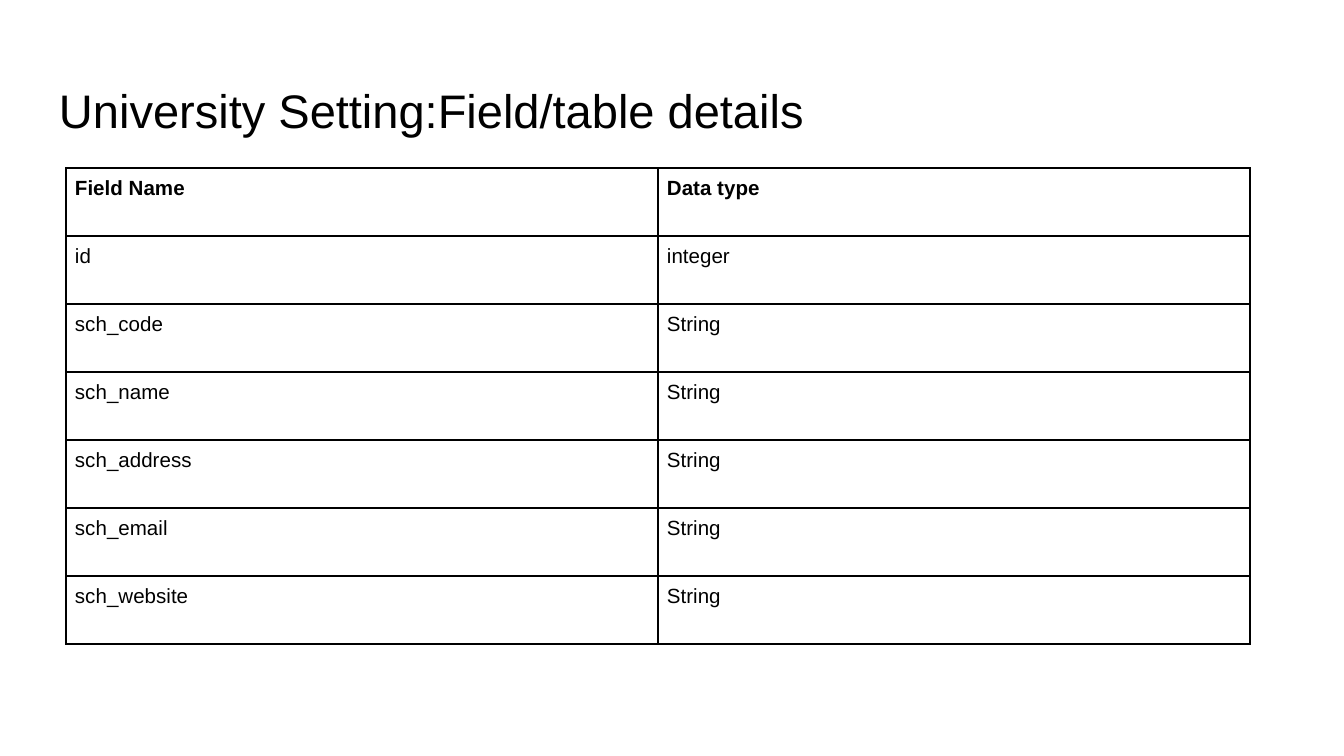
"""Build the slide listing the fields of the university setting table."""
from typing import NamedTuple

from lxml.etree import SubElement
from pptx import Presentation
from pptx.dml.color import RGBColor
from pptx.enum.text import MSO_ANCHOR, MSO_AUTO_SIZE, PP_ALIGN
from pptx.oxml.ns import qn
from pptx.util import Emu, Pt

PX_PER_INCH = 134.4
FONT = "Arial"
COLORS = {"text": "000000", "border": "000000", "background": "FFFFFF"}
TABLE_LEFT, TABLE_TOP = 66, 168
COL_WIDTH, ROW_HEIGHT = 592, 68
CELL_INSET, TITLE_INSET = 9, 13


class Field(NamedTuple):
    name: str
    data_type: str


FIELDS = [
    Field("Field Name", "Data type"),
    Field("id", "integer"),
    Field("sch_code", "String"),
    Field("sch_name", "String"),
    Field("sch_address", "String"),
    Field("sch_email", "String"),
    Field("sch_website", "String"),
]


def px(length: int) -> Emu:
    return Emu(round(length * 914400 / PX_PER_INCH))


def color(name: str) -> RGBColor:
    return RGBColor.from_string(COLORS[name])


def set_insets(target, inset: int) -> None:
    for side in ("left", "top", "right", "bottom"):
        setattr(target, f"margin_{side}", px(inset))


def add_text(tf, text: str, size: float, bold: bool = False) -> None:
    p = tf.paragraphs[0]
    p.alignment = PP_ALIGN.LEFT
    r = p.add_run()
    r.text = text
    r.font.name = FONT
    r.font.size = Pt(size)
    r.font.bold = bold
    r.font.color.rgb = color("text")


def add_borders(cell) -> None:
    tc_pr = cell._tc.get_or_add_tcPr()
    for tag in ("a:lnL", "a:lnR", "a:lnT", "a:lnB"):
        ln = SubElement(tc_pr, qn(tag), w=str(Pt(1)))
        fill = SubElement(ln, qn("a:solidFill"))
        SubElement(fill, qn("a:srgbClr"), val=COLORS["border"])


def format_title(s, text: str) -> None:
    sp = s.shapes.title
    sp.left, sp.top, sp.width, sp.height = px(46), px(66), px(1253), px(85)
    tf = sp.text_frame
    tf.word_wrap = True
    tf.auto_size = MSO_AUTO_SIZE.NONE
    tf.vertical_anchor = MSO_ANCHOR.BOTTOM
    set_insets(tf, TITLE_INSET)
    add_text(tf, text, 25.2)


def add_field_table(s, fields: list[Field]) -> None:
    n_rows, n_cols = len(fields), len(Field._fields)
    table = s.shapes.add_table(
        n_rows, n_cols, px(TABLE_LEFT), px(TABLE_TOP),
        px(n_cols * COL_WIDTH), px(n_rows * ROW_HEIGHT),
    ).table
    table.horz_banding = False
    for col in table.columns:
        col.width = px(COL_WIDTH)
    for i, field in enumerate(fields):
        table.rows[i].height = px(ROW_HEIGHT)
        for j, text in enumerate(field):
            cell = table.cell(i, j)
            set_insets(cell, CELL_INSET)
            cell.vertical_anchor = MSO_ANCHOR.TOP
            add_borders(cell)
            cell.fill.background()
            add_text(cell.text_frame, text, 11, bold=i == 0)


def main() -> None:
    prs = Presentation()
    prs.slide_width, prs.slide_height = px(1344), px(756)
    s = prs.slides.add_slide(prs.slide_layouts[5])
    s.background.fill.solid()
    s.background.fill.fore_color.rgb = color("background")
    format_title(s, "University Setting:Field/table details")
    add_field_table(s, FIELDS)
    prs.save("out.pptx")


if __name__ == "__main__":
    main()
